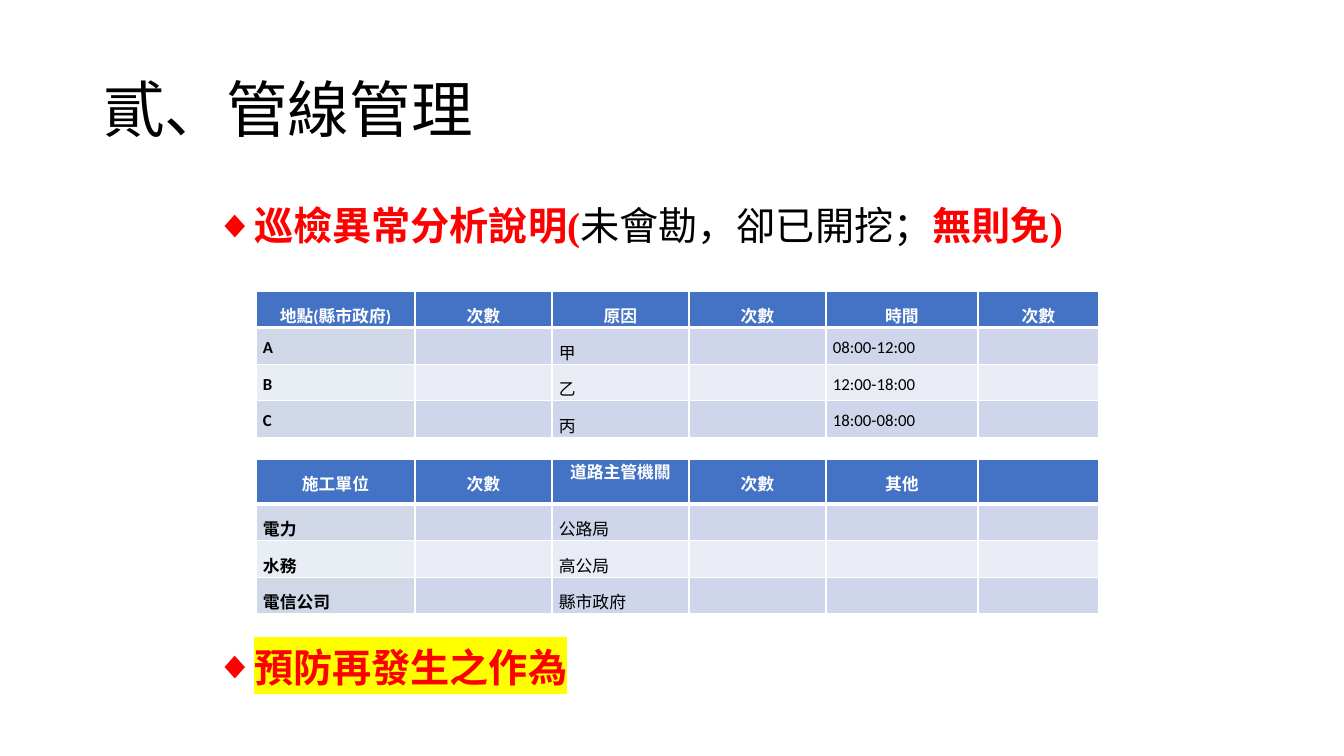
from dataclasses import dataclass
from typing import Any

from lxml.etree import SubElement
from pptx import Presentation
from pptx.dml.color import RGBColor
from pptx.enum.text import MSO_ANCHOR, MSO_AUTO_SIZE, PP_ALIGN
from pptx.oxml import parse_xml
from pptx.oxml.ns import nsdecls, qn
from pptx.util import Emu, Pt

EMU_PER_PX = 914400 / 100.8

BLACK = RGBColor(0x00, 0x00, 0x00)
WHITE = RGBColor(0xFF, 0xFF, 0xFF)
RED = RGBColor(0xFF, 0x00, 0x00)
YELLOW = RGBColor(0xFF, 0xFF, 0x00)
HEADER_BLUE = RGBColor(0x44, 0x72, 0xC4)
LABEL_BANDS = (RGBColor(0xD0, 0xD8, 0xE8), RGBColor(0xE9, 0xED, 0xF4))
VALUE_BANDS = (RGBColor(0xCF, 0xD5, 0xEA), RGBColor(0xE9, 0xEB, 0xF5))

HEADING_FONT = "Times New Roman"
TABLE_FONT = "Calibri"
COLUMN_WIDTHS = (159, 137, 137, 137, 152, 121)
TABLE_LEFT = 256
CELL_MARGINS = {"margin_left": 7, "margin_right": 7, "margin_top": 0, "margin_bottom": 0}


@dataclass(frozen=True)
class Phrase:
    text: str
    color: RGBColor = RED
    bold: bool = True
    highlight: RGBColor | None = None


@dataclass(frozen=True)
class Topic:
    phrases: tuple[Phrase, ...]
    space_before: int = 0


@dataclass(frozen=True)
class CountTable:
    top: int
    row_heights: tuple[int, ...]
    rows: tuple[tuple[str, ...], ...]
    tight_column: int | None = None  # header cell set with single line spacing


TOPICS = (
    Topic((
        Phrase("巡檢異常分析說明("),
        Phrase("未會勘，卻已開挖；", BLACK, False),
        Phrase("無則免)"),
    )),
    Topic((Phrase("預防再發生之作為", highlight=YELLOW),), space_before=285),
)

COUNT_TABLES = (
    CountTable(291, (31, 31, 31, 31), (
        ("地點(縣市政府)", "次數", "原因", "次數", "時間", "次數"),
        ("A", "", "甲", "", "08:00-12:00", ""),
        ("B", "", "乙", "", "12:00-18:00", ""),
        ("C", "", "丙", "", "18:00-08:00", ""),
    )),
    CountTable(459, (45, 30, 30, 30), (
        ("施工單位", "次數", "道路主管機關", "次數", "其他", ""),
        ("電力", "", "公路局", "", "", ""),
        ("水務", "", "高公局", "", "", ""),
        ("電信公司", "", "縣市政府", "", "", ""),
    ), tight_column=2),
)


def px(length: int) -> Emu:
    return Emu(round(length * EMU_PER_PX))


def apply_format(target: Any, values: dict[str, Any]) -> None:
    for name, value in values.items():
        setattr(target, name, value)


def place(placeholder: Any, left: int, top: int, width: int, height: int) -> None:
    apply_format(placeholder, {
        "left": px(left), "top": px(top), "width": px(width), "height": px(height),
    })


def add_phrase(paragraph: Any, phrase: Phrase, size: int, font_name: str) -> None:
    run = paragraph.add_run()
    run.text = phrase.text
    run.font.color.rgb = phrase.color
    apply_format(run.font, {"size": Pt(size), "bold": phrase.bold, "name": font_name})
    if phrase.highlight is not None:
        latin = run.font._element.find(qn("a:latin"))
        latin.addprevious(parse_xml(
            f'<a:highlight {nsdecls("a")}><a:srgbClr val="{phrase.highlight}"/></a:highlight>'))


def add_diamond_bullet(paragraph: Any) -> None:
    properties = paragraph._p.get_or_add_pPr()
    properties.set("marL", str(px(25)))
    properties.set("indent", str(px(-25)))
    bullet_color = SubElement(properties, qn("a:buClr"))
    SubElement(bullet_color, qn("a:srgbClr")).set("val", str(RED))
    SubElement(properties, qn("a:buChar")).set("char", "◆")


def add_cell_borders(cell: Any, is_header: bool) -> None:
    properties = cell._tc.get_or_add_tcPr()
    for position, side in enumerate("LRTB"):
        width = Pt(3 if is_header and side == "B" else 1)
        properties.insert(position, parse_xml(
            f'<a:ln{side} {nsdecls("a")} w="{width}"><a:solidFill>'
            f'<a:srgbClr val="{WHITE}"/></a:solidFill></a:ln{side}>'))


def cell_color(row: int, column: int) -> RGBColor:
    if row == 0:
        return HEADER_BLUE
    bands = LABEL_BANDS if column == 0 else VALUE_BANDS
    return bands[(row - 1) % 2]


def add_count_table(slide: Any, spec: CountTable) -> None:
    table = slide.shapes.add_table(
        len(spec.rows), len(COLUMN_WIDTHS), px(TABLE_LEFT), px(spec.top),
        px(sum(COLUMN_WIDTHS)), px(sum(spec.row_heights))).table
    for column, width in zip(table.columns, COLUMN_WIDTHS):
        column.width = px(width)
    for row, height in zip(table.rows, spec.row_heights):
        row.height = px(height)
    for r, texts in enumerate(spec.rows):
        for c, text in enumerate(texts):
            cell = table.cell(r, c)
            is_header = r == 0
            cell.fill.solid()
            cell.fill.fore_color.rgb = cell_color(r, c)
            apply_format(cell, {side: px(gap) for side, gap in CELL_MARGINS.items()})
            add_cell_borders(cell, is_header)
            if not text:
                continue
            paragraph = cell.text_frame.paragraphs[0]
            apply_format(paragraph, {
                "alignment": PP_ALIGN.CENTER if is_header else PP_ALIGN.LEFT,
                "line_spacing": 1.0 if is_header and c == spec.tight_column else 1.5,
            })
            label = Phrase(text, WHITE if is_header else BLACK, is_header or c == 0)
            add_phrase(paragraph, label, 12, TABLE_FONT)


def main() -> None:
    presentation = Presentation()
    apply_format(presentation, {"slide_width": px(1344), "slide_height": px(756)})
    slide = presentation.slides.add_slide(presentation.slide_layouts[1])

    # Title
    title = slide.shapes.title
    place(title, 93, 40, 1159, 146)
    apply_format(title.text_frame, {
        "vertical_anchor": MSO_ANCHOR.MIDDLE, "auto_size": MSO_AUTO_SIZE.NONE,
    })
    heading = title.text_frame.paragraphs[0]
    apply_format(heading, {"alignment": PP_ALIGN.LEFT, "line_spacing": 0.9})
    add_phrase(heading, Phrase("貳、管線管理", BLACK, False), 44, HEADING_FONT)

    # Topics above and below the tables
    topic_list = slide.placeholders[1]
    place(topic_list, 205, 202, 977, 514)
    frame = topic_list.text_frame
    frame.auto_size = MSO_AUTO_SIZE.NONE
    for index, topic in enumerate(TOPICS):
        paragraph = frame.add_paragraph() if index else frame.paragraphs[0]
        add_diamond_bullet(paragraph)
        apply_format(paragraph, {
            "line_spacing": 0.9, "space_before": Pt(topic.space_before),
        })
        for phrase in topic.phrases:
            add_phrase(paragraph, phrase, 28, HEADING_FONT)

    # Count tables
    for count_table in COUNT_TABLES:
        add_count_table(slide, count_table)

    presentation.save("out.pptx")


if __name__ == "__main__":
    main()
